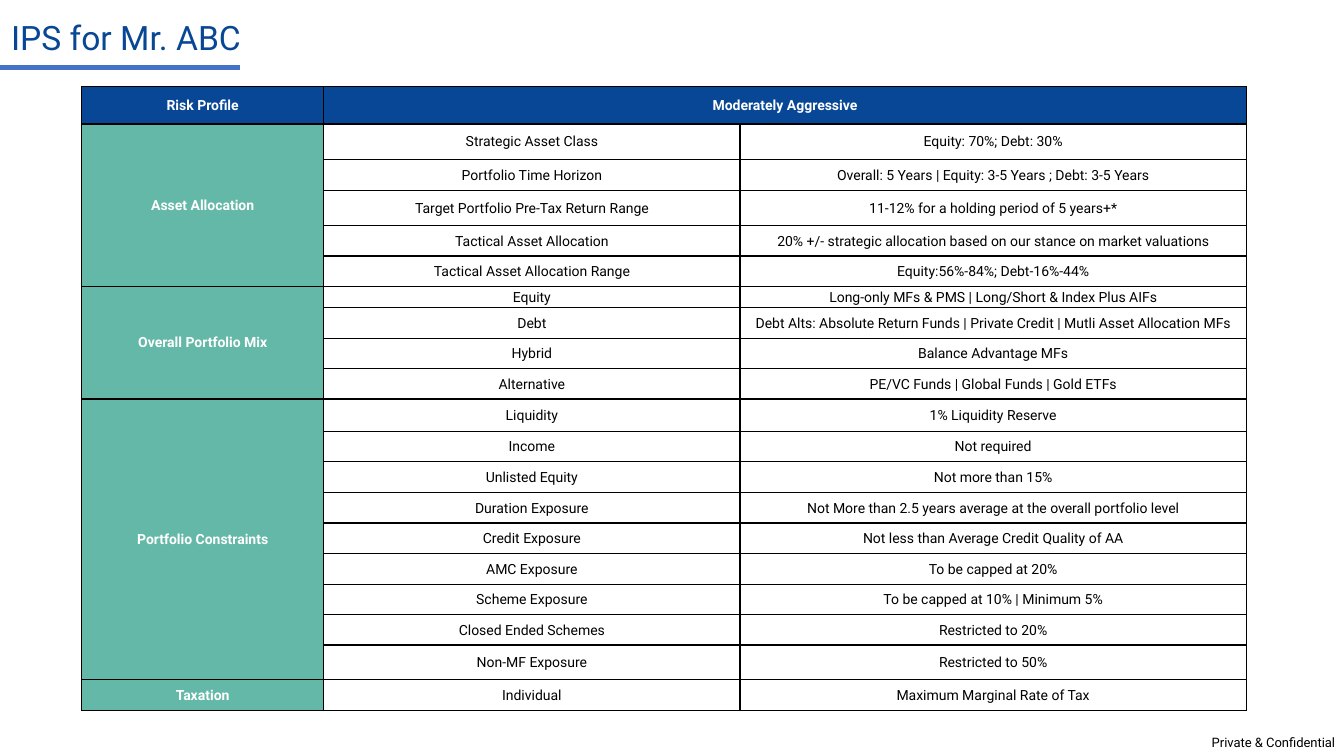
from lxml import etree
from pptx import Presentation
from pptx.dml.color import RGBColor
from pptx.enum import shapes, text
from pptx.oxml import ns
from pptx.util import Inches, Pt

NAVY, TEAL, BLUE, BLACK, WHITE = "084795", "64B8A7", "4472C4", "000000", "FFFFFF"


def write(frame, words, size=10, color=BLACK, bold=False, align=text.PP_ALIGN.LEFT):
    paragraph = frame.paragraphs[0]
    paragraph.alignment = align
    run = paragraph.add_run()
    run.text = words
    run.font.name = "Roboto"
    run.font.size = Pt(size)
    run.font.bold = bold
    run.font.color.rgb = RGBColor.from_string(color)


def style_cell(cell, fill):
    """Give a cell thin black borders, tight margins and an optional fill."""
    properties = cell._tc.get_or_add_tcPr()
    for side in ("lnL", "lnR", "lnT", "lnB"):
        border = etree.SubElement(properties, ns.qn(f"a:{side}"), w=str(Pt(1)))
        solid = etree.SubElement(border, ns.qn("a:solidFill"))
        etree.SubElement(solid, ns.qn("a:srgbClr"), val=BLACK)
    cell.margin_left = cell.margin_right = cell.margin_top = Inches(0.01)
    cell.margin_bottom = 0
    cell.vertical_anchor = text.MSO_ANCHOR.MIDDLE
    if fill:
        cell.fill.solid()
        cell.fill.fore_color.rgb = RGBColor.from_string(fill)
    else:
        cell.fill.background()


sections = [
    ("Asset Allocation", [
        ("Strategic Asset Class", "Equity: 70%; Debt: 30%"),
        ("Portfolio Time Horizon", "Overall: 5 Years | Equity: 3-5 Years ; Debt: 3-5 Years"),
        ("Target Portfolio Pre-Tax Return Range", "11-12% for a holding period of 5 years+*"),
        ("Tactical Asset Allocation",
         "20% +/- strategic allocation based on our stance on market valuations"),
        ("Tactical Asset Allocation Range", "Equity:56%-84%; Debt-16%-44%"),
    ]),
    ("Overall Portfolio Mix", [
        ("Equity", "Long-only MFs & PMS | Long/Short & Index Plus AIFs"),
        ("Debt", "Debt Alts: Absolute Return Funds | Private Credit | Mutli Asset Allocation MFs"),
        ("Hybrid", "Balance Advantage MFs"),
        ("Alternative", "PE/VC Funds | Global Funds | Gold ETFs"),
    ]),
    ("Portfolio Constraints", [
        ("Liquidity", "1% Liquidity Reserve"),
        ("Income", "Not required"),
        ("Unlisted Equity", "Not more than 15%"),
        ("Duration Exposure", "Not More than 2.5 years average at the overall portfolio level"),
        ("Credit Exposure", "Not less than Average Credit Quality of AA"),
        ("AMC Exposure", "To be capped at 20%"),
        ("Scheme Exposure", "To be capped at 10% | Minimum 5%"),
        ("Closed Ended Schemes", "Restricted to 20%"),
        ("Non-MF Exposure", "Restricted to 50%"),
    ]),
    ("Taxation", [("Individual", "Maximum Marginal Rate of Tax")]),
]
column_widths = [2.4, 4.13, 5.02]
row_heights = [0.37, 0.35, 0.31, 0.35, 0.3, 0.3, 0.21, 0.31, 0.3, 0.3,
               0.32, 0.3, 0.31, 0.3, 0.3, 0.31, 0.3, 0.3, 0.34, 0.31]

deck = Presentation()
deck.slide_width, deck.slide_height = Inches(13.33), Inches(7.5)
slide = deck.slides.add_slide(deck.slide_layouts[5])

# Confidentiality note
note = slide.shapes.add_textbox(Inches(11.92), Inches(7.24), Inches(1.46), Inches(0.26))
note.text_frame.word_wrap = False
write(note.text_frame, "Private & Confidential", size=9.3)

# Policy table
policy = slide.shapes.add_table(
    len(row_heights), len(column_widths), Inches(0.81), Inches(0.86),
    Inches(sum(column_widths)), Inches(sum(row_heights))).table
policy.first_row = policy.horz_banding = False
for column, width in zip(policy.columns, column_widths):
    column.width = Inches(width)
for index, (row, height) in enumerate(zip(policy.rows, row_heights)):
    row.height = Inches(height)
    for position, cell in enumerate(row.cells):
        style_cell(cell, NAVY if index == 0 else TEAL if position == 0 else None)

centre = text.PP_ALIGN.CENTER
policy.cell(0, 1).merge(policy.cell(0, 2))
for position, heading in enumerate(("Risk Profile", "Moderately Aggressive")):
    write(policy.cell(0, position).text_frame, heading, color=WHITE, bold=True, align=centre)

first = 1
for section, entries in sections:
    section_cell = policy.cell(first, 0)
    if len(entries) > 1:
        section_cell.merge(policy.cell(first + len(entries) - 1, 0))
    write(section_cell.text_frame, section, color=WHITE, bold=True, align=centre)
    for index, entry in enumerate(entries, first):
        for position, words in enumerate(entry, 1):
            write(policy.cell(index, position).text_frame, words, align=centre)
    first += len(entries)

# Title and its underline
title = slide.shapes.title
title.left, title.top = Inches(0.01), Inches(0.12)
title.width, title.height = Inches(6.65), Inches(0.5)
title.text_frame.auto_size = text.MSO_AUTO_SIZE.NONE
title.text_frame.vertical_anchor = text.MSO_ANCHOR.TOP
write(title.text_frame, "IPS for Mr. ABC", size=24, color=NAVY)

underline = slide.shapes.add_connector(
    shapes.MSO_CONNECTOR.STRAIGHT, 0, Inches(0.67), Inches(2.38), Inches(0.67))
underline.line.color.rgb = RGBColor.from_string(BLUE)
underline.line.width = Pt(3.5)
etree.SubElement(underline._element.spPr, ns.qn("a:effectLst"))

deck.save("out.pptx")
